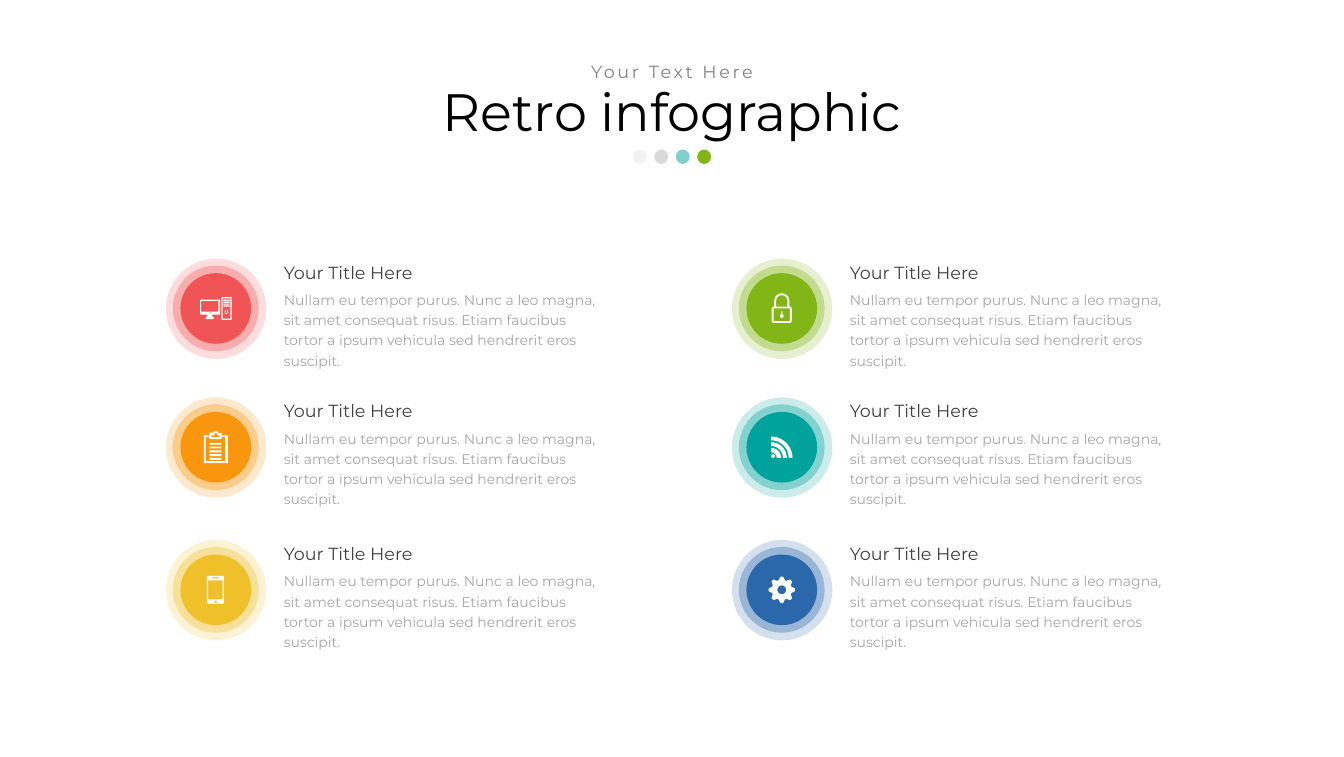
import math
from dataclasses import dataclass

from lxml import etree
from pptx import Presentation
from pptx import util as u
from pptx.dml import color
from pptx.enum import shapes, text
from pptx.oxml import ns

PX = 9144


@dataclass(frozen=True)
class Theme:
    font: str = "Montserrat"
    black: str = "000000"
    white: str = "FFFFFF"
    heading: str = "404040"
    body: str = "A6A6A6"
    subtitle: str = "808080"
    pale: str = "F2F2F2"
    silver: str = "D9D9D9"
    red: str = "F05455"
    orange: str = "F9960E"
    yellow: str = "F0C02B"
    green: str = "82B617"
    teal: str = "00A39B"
    blue: str = "2B68AB"
    title_size: int = 60
    heading_size: int = 20
    body_size: int = 16


def polar(cx, cy, radius, degrees):
    angle = math.radians(degrees)
    return cx + radius * math.cos(angle), cy + radius * math.sin(angle)


def arc(cx, cy, radius, start, end, steps=12):
    return [polar(cx, cy, radius, start + (end - start) * i / steps) for i in range(steps + 1)]


def circle(cx, cy, radius):
    return arc(cx, cy, radius, 0, 360, 32)


def rect(left, top, right, bottom):
    return [(left, top), (right, top), (right, bottom), (left, bottom)]


def rounded(left, top, right, bottom, radius):
    corners = [(right, top), (right, bottom), (left, bottom), (left, top)]
    centres = rect(left + radius, top + radius, right - radius, bottom - radius)
    centres = centres[1:] + centres[:1]
    return [
        point
        for (cx, cy), start in zip(centres, range(-90, 270, 90))
        for point in arc(cx, cy, radius, start, start + 90, 6)
    ] if corners else []


def computer():
    stand = [(-13, 10), (-6, 10), (-5, 13), (-3, 14), (-3, 17), (-16, 17), (-16, 14), (-14, 13)]
    drives = [rect(12, top, 22, bottom) for top, bottom in [(-14, -11), (-10, -8), (-7, -6), (-5, -3)]]
    return [
        rounded(-25, -14, 7, 10, 2), rect(-23, -12, 4, 5), circle(-9, 7, 1), stand,
        rounded(9, -18, 25, 18, 1), rect(11, -16, 23, 16), circle(17, 6, 3), circle(17, 6, 2),
    ] + drives


def clipboard():
    outline = [(-19, 25), (-19, -19), (-10, -19), (-10, -23), (-5, -23)]
    outline += arc(0, -22, 4, 180, 360) + [(9, -23), (9, -19), (19, -19), (19, 25)]
    sheet = [(-16, -16), (-10, -16), (-10, -13), (9, -13), (9, -16), (15, -16), (15, 22), (-16, 22)]
    clip = [(-7, -16), (-7, -19), (-2, -19)] + arc(0, -21, 2, 180, 360)
    clip += [(2, -19), (6, -19), (6, -16)]
    lines = [rect(-10, top, 9, top + 3) for top in range(-7, 18, 6)]
    return [outline, sheet, clip] + lines


def phone():
    return [
        rounded(-14, -22, 13, 22, 2), rect(-12, -15, 11, 15),
        circle(0, 19, 2), rounded(-6, -20, 5, -18, 1),
    ]


def padlock():
    outline = arc(0, -12, 12, 180, 360) + arc(12, 1, 4, -90, 0) + arc(12, 19, 4, 0, 90)
    outline += arc(-12, 19, 4, 90, 180) + arc(-12, 1, 4, 180, 270)
    shackle = arc(0, -12, 9, 180, 360) + [(9, -3), (-9, -3)]
    keyhole = arc(0, 12, 3, -70, 250) + arc(0, 5, 1, 180, 360)
    return [outline, shackle, rounded(-13, 0, 13, 20, 1), keyhole]


def feed():
    bands = [
        arc(-17, 17, outer, -90, 0) + arc(-17, 17, inner, 0, -90)
        for outer, inner in [(34, 28), (25, 19), (16, 9)]
    ]
    return bands + [circle(-14, 14, 3)]


def gear():
    flank = [(16, -18), (18, -12), (20, -8), (21, -5)]
    tooth = flank + [(radius, -turn) for radius, turn in reversed(flank)]
    rim = [polar(0, 0, radius, step + turn) for step in range(0, 360, 45) for radius, turn in tooth]
    return [rim, circle(0, 0, 7)]


class SlideBuilder:
    def __init__(self, page, theme):
        self.page = page
        self.theme = theme

    def paint(self, shape, fill, opacity=100):
        shape.shadow.inherit = False
        shape.fill.solid()
        shape.fill.fore_color.rgb = color.RGBColor.from_string(fill)
        shape.line.fill.background()
        if opacity < 100:
            tone = shape.fill._xPr.find(ns.qn("a:solidFill"))[0]
            etree.SubElement(tone, ns.qn("a:alpha")).set("val", str(opacity * 1000))

    def group(self):
        return self.page.shapes.add_group_shape().shapes

    def disc(self, group, left, top, width, height, fill, opacity=100):
        oval = group.add_shape(
            shapes.MSO_SHAPE.OVAL, left * PX, top * PX, width * PX, height * PX
        )
        self.paint(oval, fill, opacity)

    def icon(self, group, cx, cy, contours):
        placed = [[((cx + x) * PX, (cy + y) * PX) for x, y in contour] for contour in contours]
        builder = group.build_freeform(*placed[0][0], scale=1.0)
        for index, contour in enumerate(placed):
            if index:
                builder.move_to(*contour[0])
            builder.add_line_segments(contour[1:], close=True)
        self.paint(builder.convert_to_shape(), self.theme.white)

    def label(self, left, top, width, height, words, size, ink, spacing, centred=False, tracking=0):
        box = self.page.shapes.add_textbox(left * PX, top * PX, width * PX, height * PX)
        frame = box.text_frame
        frame.text = words
        frame.word_wrap = True
        para = frame.paragraphs[0]
        para.line_spacing = spacing
        para.alignment = text.PP_ALIGN.CENTER if centred else text.PP_ALIGN.LEFT
        span = para.runs[0]
        span.font.name = self.theme.font
        span.font.size = u.Pt(size)
        span.font.color.rgb = color.RGBColor.from_string(ink)
        if tracking:
            span._r.get_or_add_rPr().set("spc", str(tracking * 100))

    def badge(self, cx, cy, fill, contours):
        group = self.group()
        for size, opacity in [(159, 20), (136, 35), (112, 100)]:
            self.disc(group, cx - size // 2, cy - size // 2, size, size, fill, opacity)
        self.icon(group, cx, cy, contours)

    def topic(self, cx, cy, fill, contours):
        theme = self.theme
        self.label(cx + 98, cy - 86, 373, 47, "Your Title Here", theme.heading_size, theme.heading, 1.2)
        self.label(cx + 98, cy - 37, 535, 137, BODY, theme.body_size, theme.body, 1.2)
        self.badge(cx, cy, fill, contours)


BODY = (
    "Nullam eu tempor purus. Nunc a leo magna, sit amet consequat risus. "
    "Etiam faucibus tortor a ipsum vehicula sed hendrerit eros suscipit."
)


def main():
    theme = Theme()
    deck = Presentation()
    deck.slide_width, deck.slide_height = 2130 * PX, 1200 * PX
    slide = SlideBuilder(deck.slides.add_slide(deck.slide_layouts[6]), theme)

    slide.label(102, 131, 1926, 103, "Retro infographic", theme.title_size, theme.black, 0.9, True)
    slide.label(
        748, 95, 634, 35, "Your Text Here", theme.heading_size, theme.subtitle, 0.9, True, 3
    )
    dots = slide.group()
    tones = [(theme.pale, 100), (theme.silver, 98), (theme.teal, 50), (theme.green, 100)]
    for index, (fill, opacity) in enumerate(tones):
        slide.disc(dots, 1003 + 34 * index, 237, 22, 23, fill, opacity)

    columns = {
        342: [(theme.red, computer()), (theme.orange, clipboard()), (theme.yellow, phone())],
        1239: [(theme.green, padlock()), (theme.teal, feed()), (theme.blue, gear())],
    }
    for cx, topics in columns.items():
        for cy, (fill, contours) in zip([489, 709, 935], topics):
            slide.topic(cx, cy, fill, contours)

    deck.save("out.pptx")


if __name__ == "__main__":
    main()
